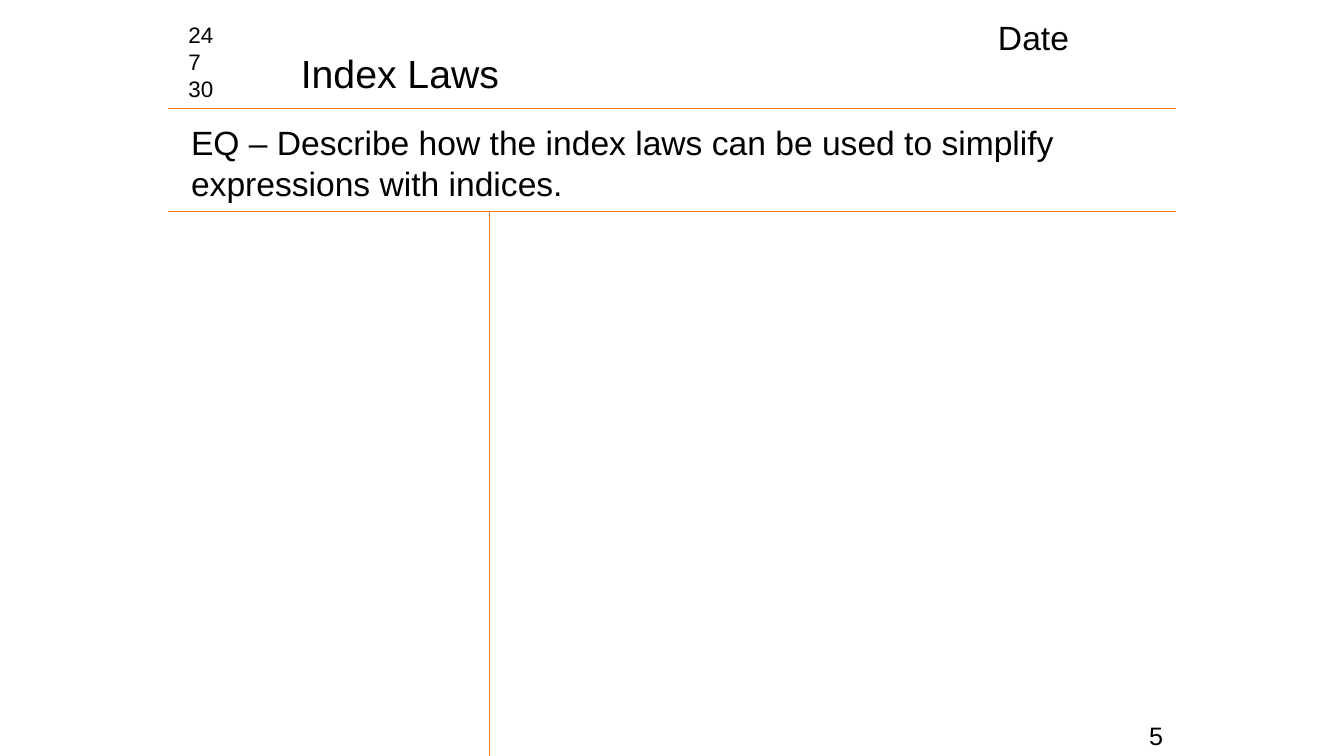
from pptx import Presentation
from pptx.dml.color import RGBColor
from pptx.enum.shapes import MSO_CONNECTOR
from pptx.enum.text import MSO_ANCHOR, PP_ALIGN
from pptx.oxml.ns import qn
from pptx.util import Pt
from lxml import etree

STRAIGHT = MSO_CONNECTOR.STRAIGHT
TOP = MSO_ANCHOR.TOP
LEFT = PP_ALIGN.LEFT

COLOURS = {"text": "000000", "rule": "ED7D31"}
FONT = "Arial"
TITLE_ONLY = 5
WIDTH, HEIGHT = 960, 540
PAGE_LEFT, PAGE_RIGHT = 120, 840
HEADER_Y, NOTES_Y, CUE_X = 77.4, 151, 349.6


class NotesPage:
    def __init__(self, page):
        self.page = page

    def fill(self, box, lines, size, wrap=True, inset=7.2):
        """Format the box's frame and write one paragraph per line."""
        frame = box.text_frame
        frame.word_wrap = wrap
        frame.vertical_anchor = TOP
        frame.margin_left, frame.margin_right = Pt(inset), Pt(7.2)
        frame.margin_top = frame.margin_bottom = Pt(3.6)
        for index, line in enumerate(lines):
            para = frame.add_paragraph() if index else frame.paragraphs[0]
            para.alignment = LEFT
            span = para.add_run()
            span.text = line
            span.font.name = FONT
            span.font.size = Pt(size)
            span.font.color.rgb = RGBColor.from_string(COLOURS["text"])

    def title(self, text, left, top, width, height, size):
        box = self.page.shapes.title
        box.left, box.top = Pt(left), Pt(top)
        box.width, box.height = Pt(width), Pt(height)
        self.fill(box, [text], size, wrap=False)

    def text(self, lines, left, top, width, height, size, inset=7.2):
        box = self.page.shapes.add_textbox(Pt(left), Pt(top), Pt(width), Pt(height))
        self.fill(box, lines, size, inset=inset)

    def rule(self, x1, y1, x2, y2):
        line = self.page.shapes.add_connector(STRAIGHT, Pt(x1), Pt(y1), Pt(x2), Pt(y2))
        line.line.color.rgb = RGBColor.from_string(COLOURS["rule"])
        line.line.width = Pt(0.5)
        etree.SubElement(line._element.spPr, qn("a:effectLst"))


def main():
    deck = Presentation()
    deck.slide_width, deck.slide_height = Pt(WIDTH), Pt(HEIGHT)
    notes = NotesPage(deck.slides.add_slide(deck.slide_layouts[TITLE_ONLY]))

    for y in (HEADER_Y, NOTES_Y):
        notes.rule(PAGE_LEFT, y, PAGE_RIGHT, y)
    notes.rule(CUE_X, NOTES_Y, CUE_X, HEIGHT)

    notes.title("Index Laws", 207.7, 31.7, 157.7, 41, 28)
    notes.text(["24", "7", "30"], 127.5, 11.5, 45.4, 65.5, 16)
    notes.text(["Date"], 705.8, 8.6, 124.6, 36.7, 24)
    notes.text(["EQ – Describe how the index laws can be used to simplify "
                "expressions with indices."], 129.4, 83.8, 679, 65.5, 24)
    notes.text(["5"], 808.6, 511.2, 43.2, 28.8, 18, inset=12.2)

    deck.save("out.pptx")


if __name__ == "__main__":
    main()
